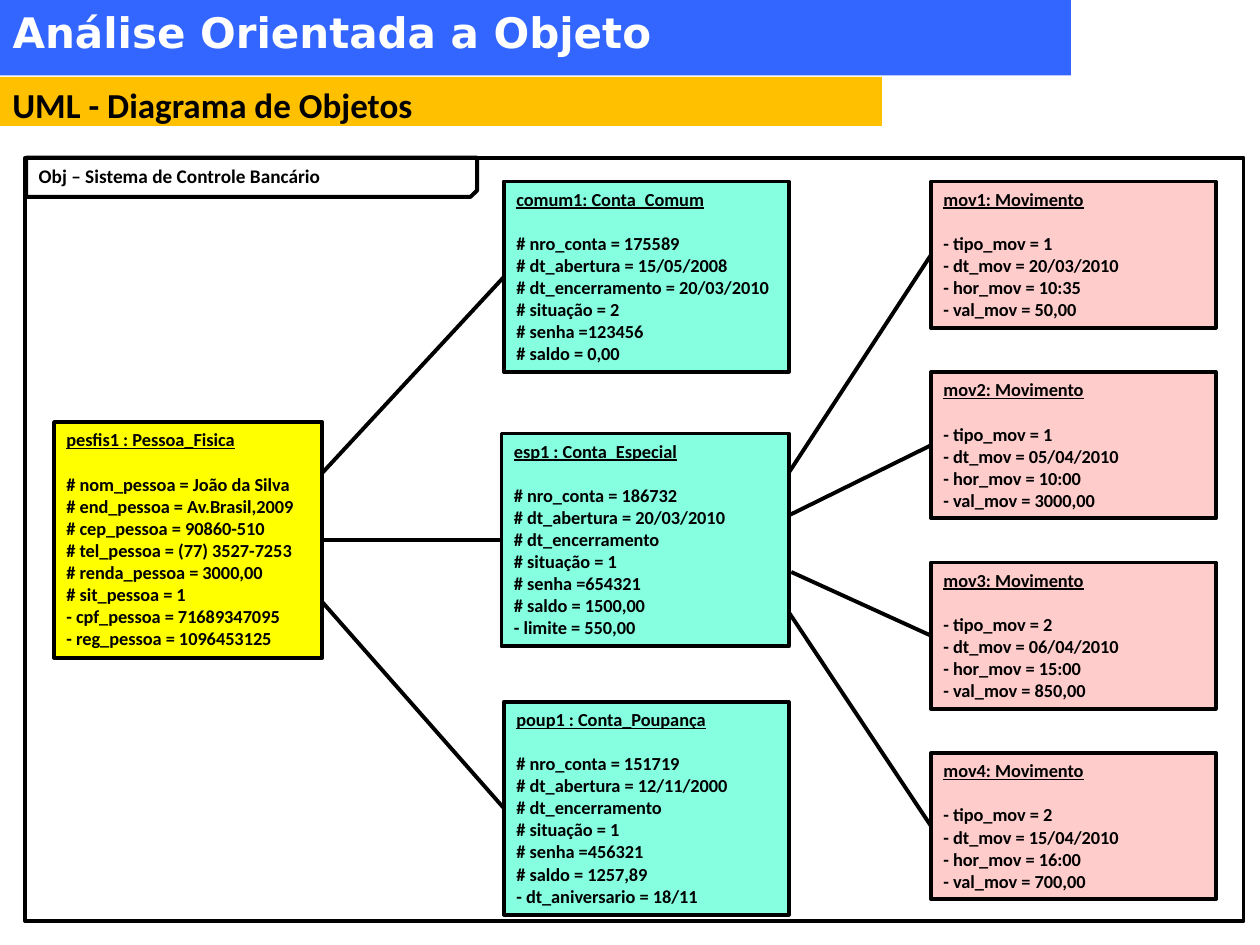
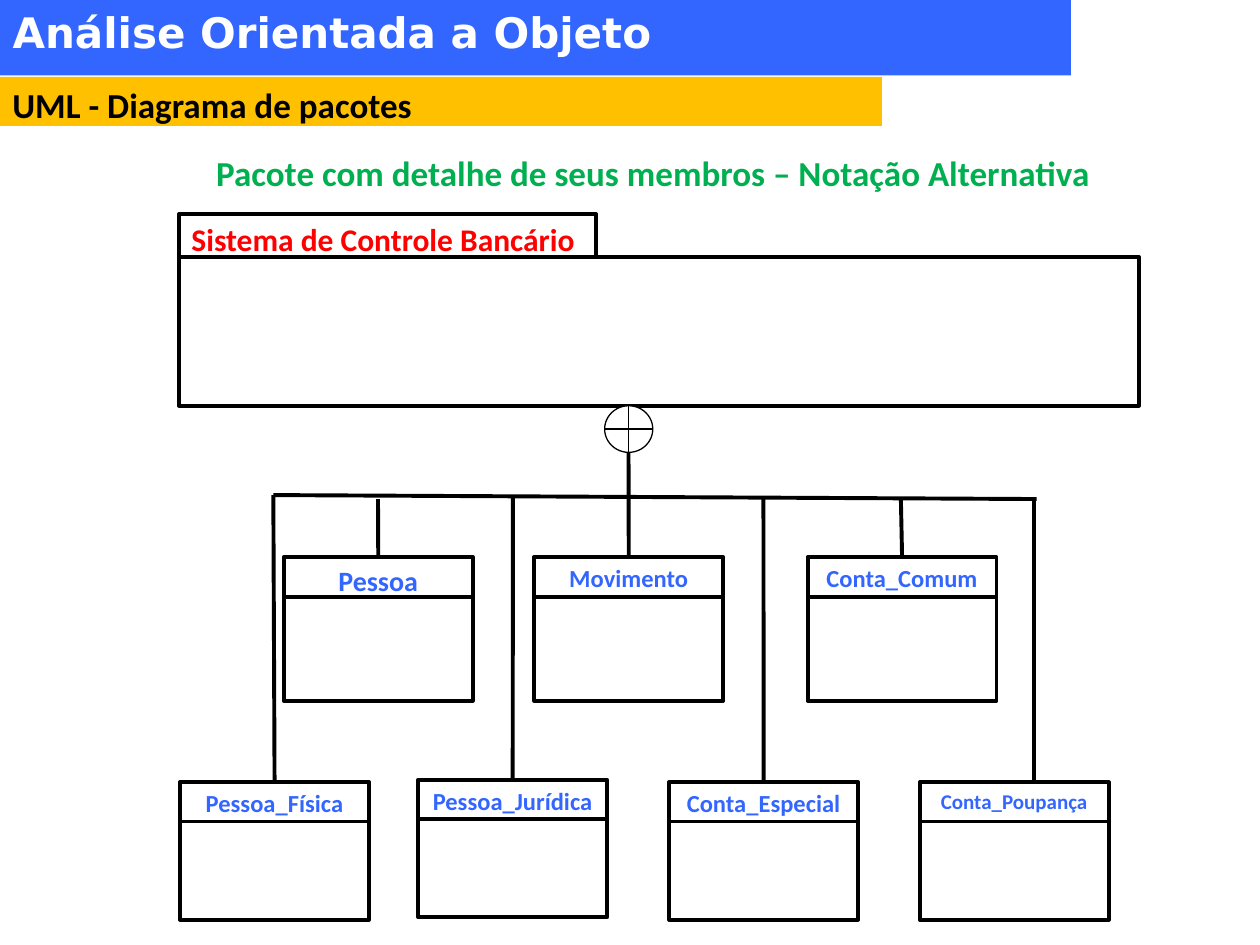
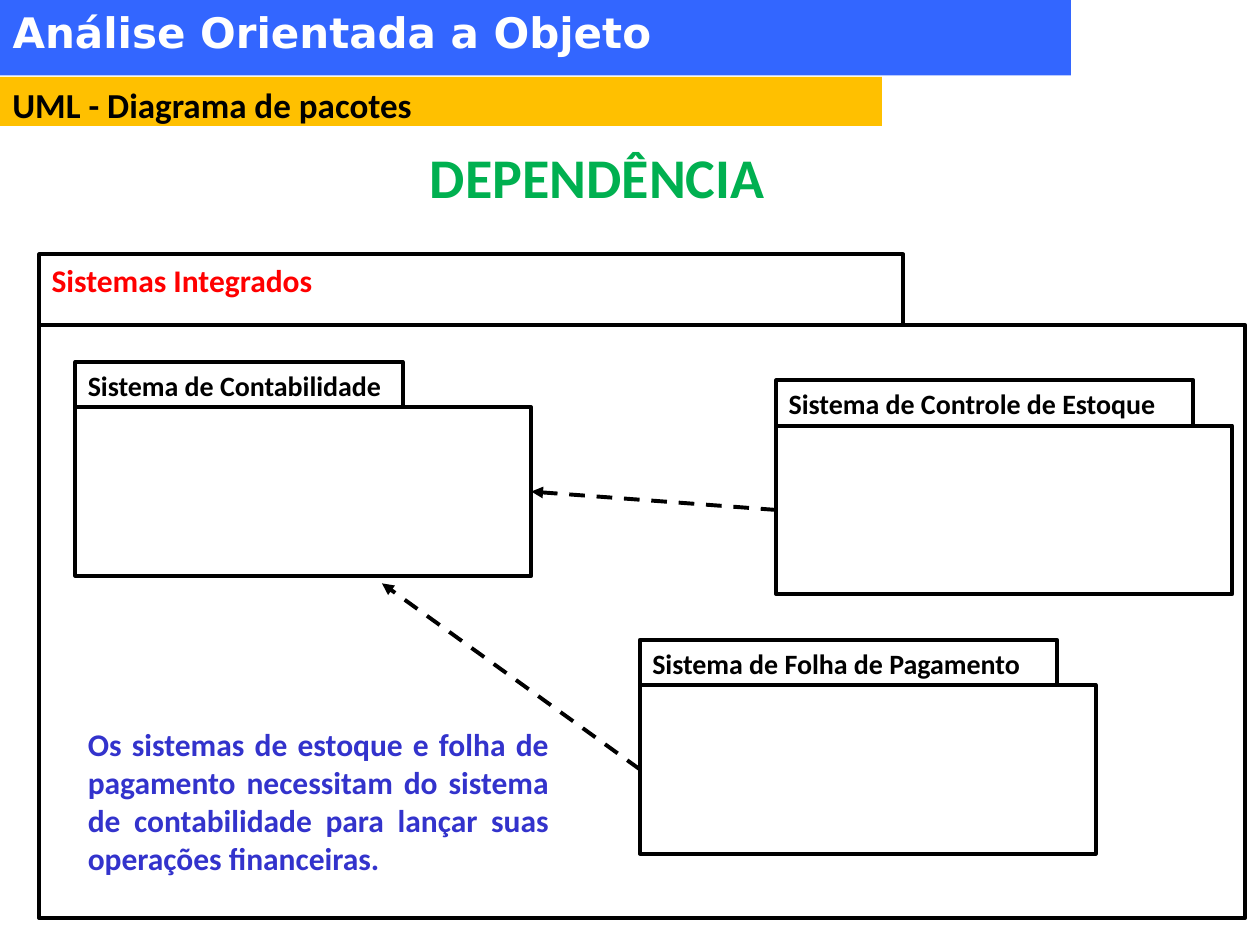
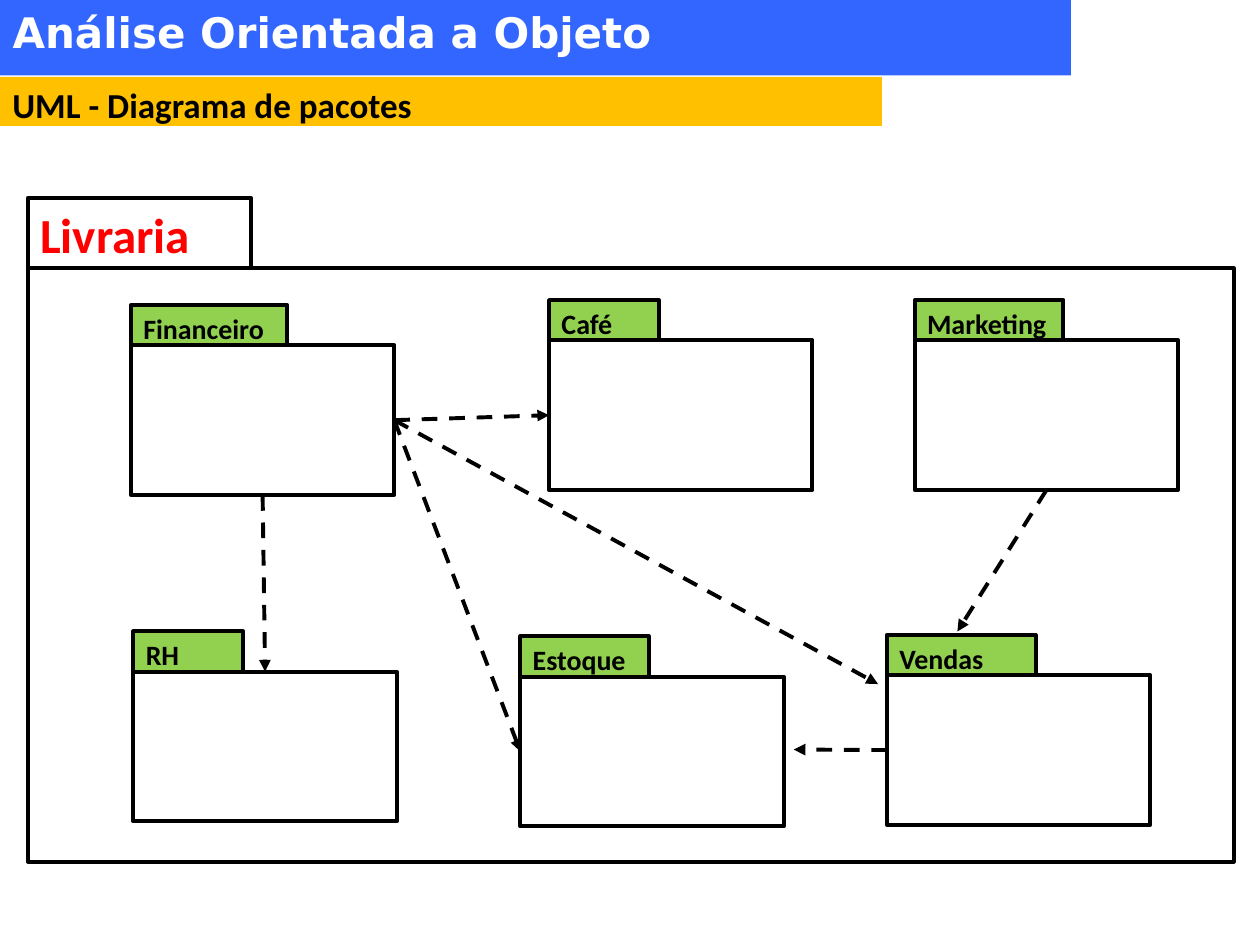
import pptx
import pptx.util
import pptx.dml.color
import pptx.enum.dml
import pptx.enum.shapes
import pptx.enum.text
import pptx.oxml
import pptx.oxml.ns

Cm, Pt = pptx.util.Cm, pptx.util.Pt
SHAPE = pptx.enum.shapes.MSO_SHAPE
ALIGN = pptx.enum.text.PP_ALIGN

COLORS = {
    "black": "000000", "white": "FFFFFF", "blue": "3366FF", "amber": "FFC000",
    "aqua": "85FFE0", "yellow": "FFFF00", "pink": "FFCCCC", "red": "FF0000",
    "green": "00B050", "lime": "92D050", "indigo": "3333CC",
}
BODY_FONT, TITLE_FONT = "Calibri", "DejaVu Sans"
TITLE = "Análise Orientada a Objeto"
RIGHT, LEFT, TOP, BOTTOM = 3, 1, 0, 2


# Formatting helpers
def rgb(name):
    return pptx.dml.color.RGBColor.from_string(COLORS[name])


def style(paragraph, size, color="black", align=ALIGN.LEFT, font=BODY_FONT):
    paragraph.alignment = align
    paragraph.font.name = font
    paragraph.font.size = Pt(size)
    paragraph.font.bold = True
    paragraph.font.color.rgb = rgb(color)


def write(shape, lines, size, color="black", align=ALIGN.LEFT,
          font=BODY_FONT, wrap=True):
    frame = shape.text_frame
    frame.word_wrap = wrap
    frame.auto_size = pptx.enum.text.MSO_AUTO_SIZE.NONE
    frame.vertical_anchor = pptx.enum.text.MSO_ANCHOR.TOP
    frame.text = "\n".join(lines)
    for paragraph in frame.paragraphs:
        style(paragraph, size, color, align, font)


def paint(shape, fill=None, line="black", width=2.25):
    if fill:
        shape.fill.solid()
        shape.fill.fore_color.rgb = rgb(fill)
    else:
        shape.fill.background()
    if line:
        shape.line.color.rgb = rgb(line)
        shape.line.width = Pt(width)
    else:
        shape.line.fill.background()


# Elements
def box(slide, left, top, width, height, fill="white", line="black",
        kind=SHAPE.RECTANGLE, line_width=2.25):
    shape = slide.shapes.add_shape(kind, Cm(left), Cm(top), Cm(width), Cm(height))
    shape.shadow.inherit = False
    paint(shape, fill, line, line_width)
    return shape


def label(slide, text, left, top, width, height, size, color="black",
          align=ALIGN.LEFT, wrap=True):
    area = slide.shapes.add_textbox(Cm(left), Cm(top), Cm(width), Cm(height))
    write(area, [text], size, color, align, wrap=wrap)


def link(slide, start, end, arrow=False):
    """Each end is an (x, y) point in cm or a (shape, side) pair."""
    ends = [point if isinstance(point[0], (int, float)) else (0, 0)
            for point in (start, end)]
    connector = slide.shapes.add_connector(
        pptx.enum.shapes.MSO_CONNECTOR.STRAIGHT,
        *(Cm(value) for point in ends for value in point))
    for point, join in ((start, connector.begin_connect), (end, connector.end_connect)):
        if not isinstance(point[0], (int, float)):
            join(*point)
    connector.line.color.rgb = rgb("black")
    connector.line.width = Pt(2.25)
    if arrow:
        connector.line.dash_style = pptx.enum.dml.MSO_LINE.DASH
        tail = pptx.oxml.parse_xml(
            '<a:tailEnd %s type="triangle"/>' % pptx.oxml.ns.nsdecls("a"))
        connector.line._get_or_add_ln().append(tail)
    connector._element.spPr.append(
        pptx.oxml.parse_xml("<a:effectLst %s/>" % pptx.oxml.ns.nsdecls("a")))


def new_slide(deck, subject):
    slide = deck.slides.add_slide(deck.slide_layouts[5])
    subject_band = box(slide, 0, 1.55, 17.78, 0.99, "amber", None)
    write(subject_band, [subject], 20)
    title = slide.shapes.title
    title.left, title.top, title.width, title.height = Cm(0), Cm(0), Cm(21.59), Cm(1.52)
    paint(title, "blue", None)
    write(title, [TITLE], 24, "white", font=TITLE_FONT)
    return slide


def uml_object(slide, name, attributes, left, top, width, height, fill):
    card = box(slide, left, top, width, height, fill)
    write(card, [name, *attributes], 10.5)
    heading = card.text_frame.paragraphs[0]
    heading.font.underline = True
    heading.space_after = Pt(12.8)
    return card


def uml_class(slide, name, left, top, height, divider, size=14):
    card = box(slide, left, top, 3.81, height)
    write(card, [name], size, "blue", ALIGN.CENTER)
    link(slide, (left, top + divider), (left + 3.81, top + divider))
    return card


def package(slide, name, left, top, tab, body, size=16, color="black", tab_fill="white"):
    """tab and body are (width, height); the body is returned."""
    folder = box(slide, left, top + tab[1], *body)
    write(box(slide, left, top, *tab, tab_fill), [name], size, color)
    return folder


# Slides
def object_diagram(deck):
    slide = new_slide(deck, "UML - Diagrama de Objetos")
    special = uml_object(slide, "esp1 : Conta_Especial", [
        "# nro_conta = 186732", "# dt_abertura = 20/03/2010", "# dt_encerramento",
        "# situação = 1", "# senha =654321", "# saldo = 1500,00",
        "- limite = 550,00"], 10.11, 8.74, 5.79, 4.29, "aqua")
    person = uml_object(slide, "pesfis1 : Pessoa_Fisica", [
        "# nom_pessoa = João da Silva", "# end_pessoa = Av.Brasil,2009",
        "# cep_pessoa = 90860-510", "# tel_pessoa = (77) 3527-7253",
        "# renda_pessoa = 3000,00", "# sit_pessoa = 1",
        "- cpf_pessoa = 71689347095", "- reg_pessoa = 1096453125"],
        1.09, 8.51, 5.41, 4.75, "yellow")
    common = uml_object(slide, "comum1: Conta_Comum", [
        "# nro_conta = 175589", "# dt_abertura = 15/05/2008",
        "# dt_encerramento = 20/03/2010", "# situação = 2", "# senha =123456",
        "# saldo = 0,00"], 10.16, 3.66, 5.74, 3.84, "aqua")
    savings = uml_object(slide, "poup1 : Conta_Poupança", [
        "# nro_conta = 151719", "# dt_abertura = 12/11/2000", "# dt_encerramento",
        "# situação = 1", "# senha =456321", "# saldo = 1257,89",
        "- dt_aniversario = 18/11"], 10.16, 14.15, 5.74, 4.29, "aqua")
    link(slide, (person, RIGHT), (special, LEFT))
    link(slide, (6.5, 9.53), (common, LEFT))
    link(slide, (6.5, 12.14), (savings, LEFT))

    # Movements, each with the point where its link leaves the account
    movements = [
        (1, "20/03/2010", "10:35", "50,00", (15.9, 9.53)),
        (1, "05/04/2010", "10:00", "3000,00", (15.9, 10.39)),
        (2, "06/04/2010", "15:00", "850,00", (15.95, 11.53)),
        (2, "15/04/2010", "16:00", "700,00", (15.9, 12.34)),
    ]
    for i, (kind, date, hour, value, origin) in enumerate(movements):
        movement = uml_object(slide, f"mov{i + 1}: Movimento", [
            f"- tipo_mov = {kind}", f"- dt_mov = {date}", f"- hor_mov = {hour}",
            f"- val_mov = {value}"], 18.77, 3.66 + 3.84 * i, 5.74, 2.95, "pink")
        link(slide, origin, (movement, LEFT))

    # Diagram frame and its name tag
    box(slide, 0.51, 3.18, 24.56, 15.39, None)
    tag = box(slide, 0.53, 3.18, 9.09, 0.79, None, kind=SHAPE.SNIP_1_RECTANGLE)
    tag._element.spPr.xfrm.set("flipV", "1")
    label(slide, "Obj – Sistema de Controle Bancário", 0.53, 3.18, 6.25, 0.74, 11,
          wrap=False)


def package_members(deck):
    slide = new_slide(deck, "UML - Diagrama de pacotes")
    package(slide, "Sistema de Controle Bancário", 3.61, 4.32, (8.41, 0.86),
            (19.35, 3), 18, "red")

    # Member classes, each with the point where its branch leaves the rail
    upper, lower = (11.23, 2.9, 0.81), (15.77, 2.77, 0.79)
    members = [
        ("Pessoa_Jurídica", 8.43, (15.72, 2.77, 0.79), 14, (10.34, 10.03)),
        ("Pessoa", 5.72, upper, 16, (7.62, 10.06)),
        ("Pessoa_Física", 3.63, lower, 14, (5.51, 9.98)),
        ("Movimento", 10.77, upper, 14, (12.67, 9.12)),
        ("Conta_Comum", 16.28, upper, 14, (18.16, 10.03)),
        ("Conta_Especial", 13.49, lower, 14, (15.39, 10.03)),
    ]
    for name, left, row, size, origin in members:
        member = uml_class(slide, name, left, *row, size)
        link(slide, origin, (member, TOP))
    uml_class(slide, "Conta_Poupança", 18.54, *lower, 12)
    link(slide, (20.85, 10.03), (20.85, 15.77))

    # Containment symbol and rail
    box(slide, 12.19, 8.18, 0.97, 0.94, kind=SHAPE.FLOWCHART_OR, line_width=0.75)
    link(slide, (20.9, 10.06), (5.51, 9.98))
    label(slide, "Pacote com detalhe de seus membros – Notação Alternativa",
          3.02, 2.92, 20.29, 1.12, 20, "green", ALIGN.CENTER)


def package_dependency(deck):
    slide = new_slide(deck, "UML - Diagrama de pacotes")
    package(slide, "Sistemas Integrados", 0.79, 5.13, (17.42, 1.42),
            (24.31, 11.96), 18, "red")
    label(slide, "DEPENDÊNCIA", 1.9, 2.74, 20.29, 1.63, 32, "green", ALIGN.CENTER)
    accounting, stock, payroll = [
        package(slide, name, left, top, (tab_width, 0.91), (9.19, 3.4))
        for name, left, top, tab_width in (
            ("Sistema de Contabilidade", 1.52, 7.3, 6.6),
            ("Sistema de Controle de Estoque", 15.65, 7.67, 8.41),
            ("Sistema de Folha de Pagamento", 12.9, 12.9, 8.41))]
    link(slide, (stock, LEFT), (accounting, RIGHT), arrow=True)
    link(slide, (payroll, LEFT), (7.7, 11.76), arrow=True)
    label(slide, "Os sistemas de estoque e folha de pagamento necessitam do sistema "
          "de contabilidade para lançar suas operações financeiras.",
          1.52, 14.5, 9.8, 3.33, 18, "indigo", ALIGN.JUSTIFY)


def bookstore_packages(deck):
    slide = new_slide(deck, "UML - Diagrama de pacotes")
    package(slide, "Livraria", 0.56, 3.99, (4.5, 1.42), (24.31, 11.96), 28, "red")
    hr, finance, stock, cafe, marketing, sales = [
        package(slide, name, left, top, (tab_width, 0.81), (5.31, 3.02), tab_fill="lime")
        for name, left, top, tab_width in (
            ("RH", 2.69, 12.73, 2.21), ("Financeiro", 2.64, 6.15, 3.15),
            ("Estoque", 10.49, 12.83, 2.59), ("Café", 11.07, 6.05, 2.21),
            ("Marketing", 18.44, 6.05, 3), ("Vendas", 17.88, 12.8, 3))]
    for start, end in (
            ((finance, RIGHT), (stock, LEFT)),
            ((finance, BOTTOM), (hr, TOP)),
            ((finance, RIGHT), (cafe, LEFT)),
            ((finance, RIGHT), (17.7, 13.79)),
            ((sales, LEFT), (16, 15.11)),
            ((marketing, BOTTOM), (19.3, 12.73))):
        link(slide, start, end, arrow=True)


def main():
    deck = pptx.Presentation()
    deck.slide_width, deck.slide_height = Cm(25.4), Cm(19.05)
    object_diagram(deck)
    package_members(deck)
    package_dependency(deck)
    bookstore_packages(deck)
    deck.save("out.pptx")


if __name__ == "__main__":
    main()
